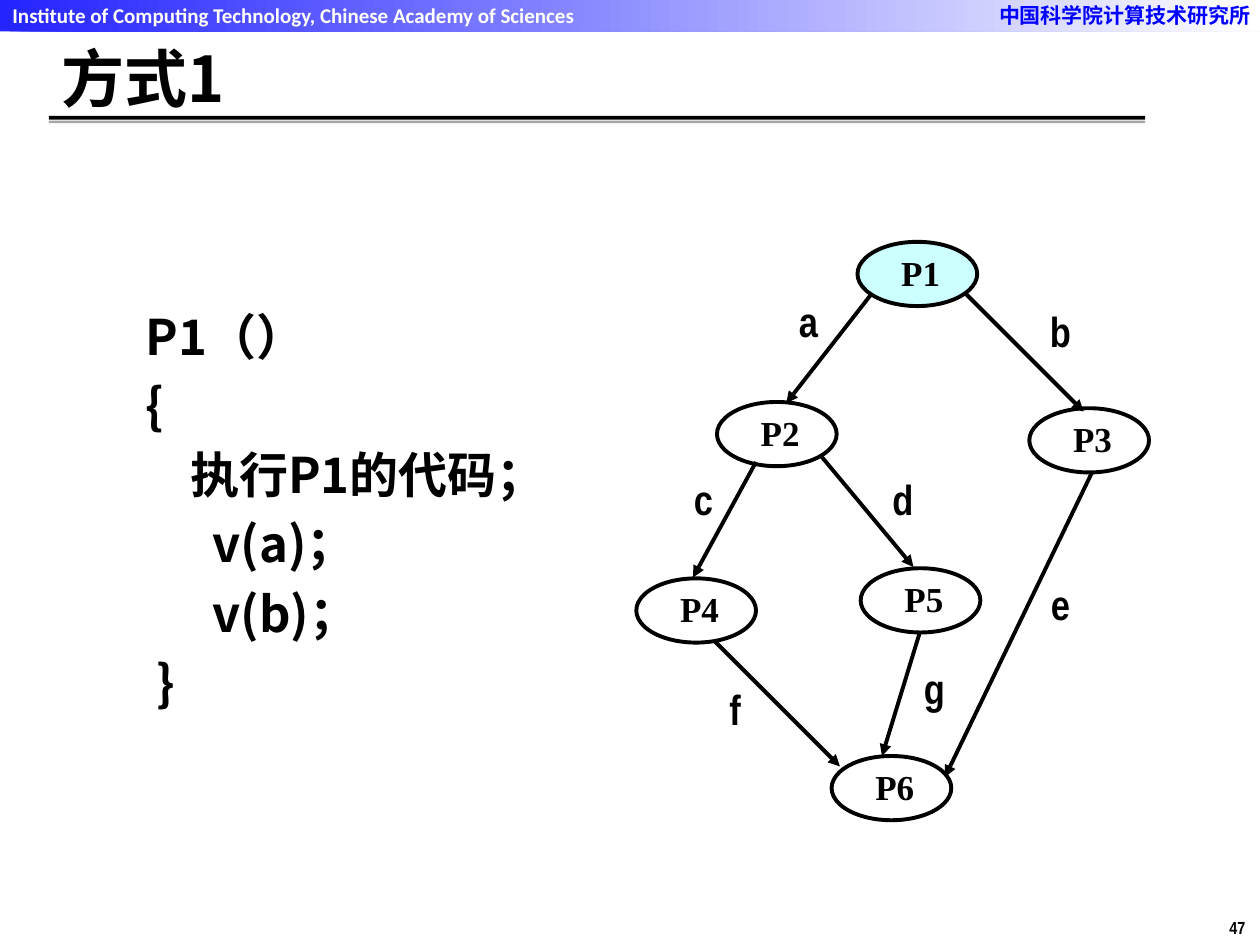
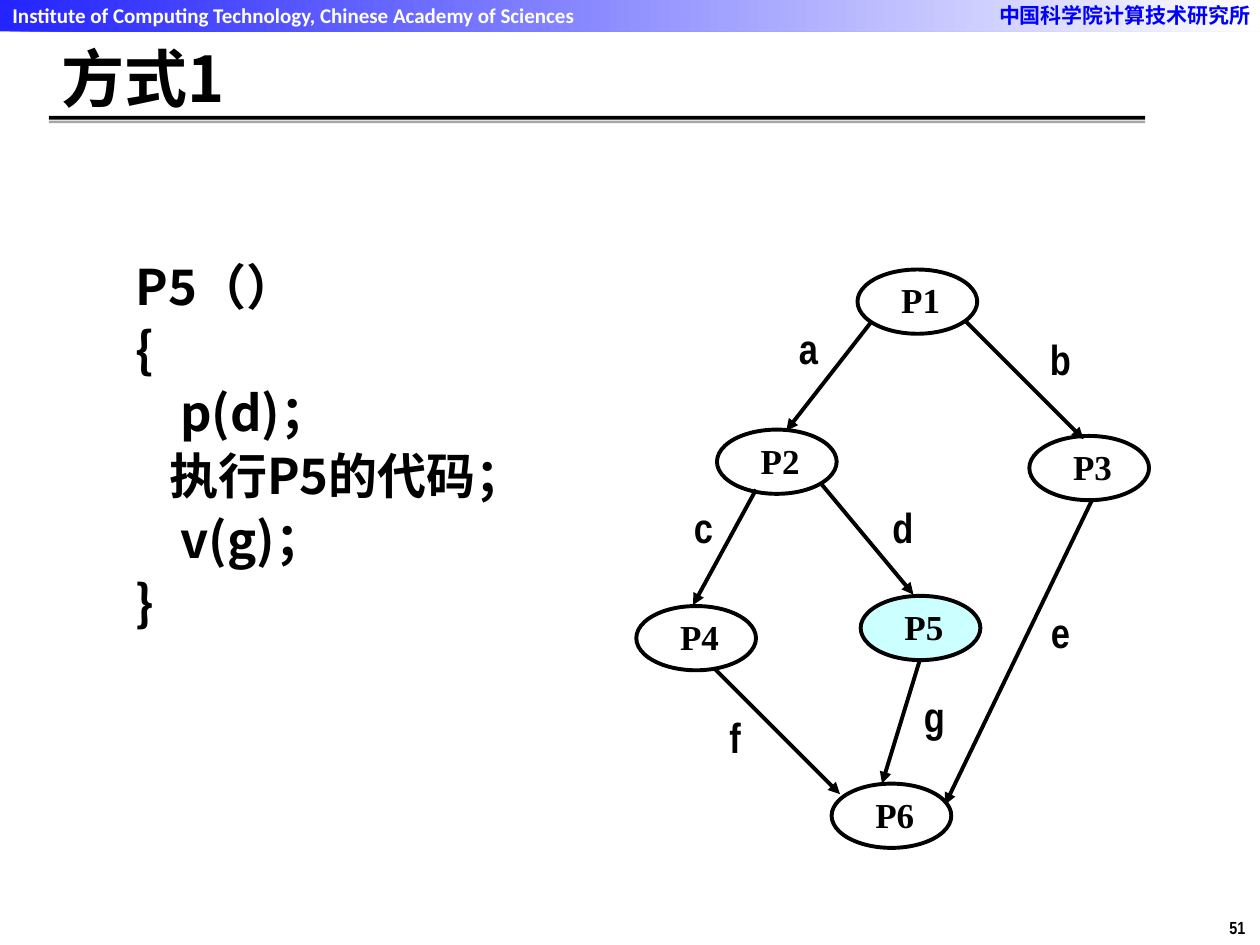
from dataclasses import dataclass

from lxml.etree import SubElement
from pptx import Presentation
from pptx.dml.color import RGBColor
from pptx.enum.shapes import MSO_CONNECTOR, MSO_SHAPE
from pptx.enum.text import MSO_ANCHOR, PP_ALIGN
from pptx.oxml.ns import qn
from pptx.slide import Slide
from pptx.text.text import TextFrame
from pptx.util import Pt

BLACK, WHITE, BLUE, GREY, CYAN = "000000", "FFFFFF", "0000FF", "A6A6A6", "CCFFFF"
HAN, NARROW, SERIF, SANS = "Noto Sans CJK SC", "Arial Narrow", "Times New Roman", "Calibri"
NODE_W, NODE_H = 68.4, 36.7
LABEL_W, LABEL_H = 36, 30
STROKE = 2.25


@dataclass(frozen=True)
class Node:
    name: str
    left: float
    top: float


@dataclass(frozen=True)
class Edge:
    name: str
    start: tuple[float, float]
    end: tuple[float, float]
    label: tuple[float, float]


@dataclass(frozen=True)
class Code:
    box: tuple[float, float, float, float]
    lines: list[str]
    pitch: float
    align: PP_ALIGN


@dataclass(frozen=True)
class Page:
    number: str
    active: str
    shift: float
    code: Code


NODES = [
    Node("P1", 490, 138.2),
    Node("P2", 409.7, 229.7),
    Node("P3", 588.2, 233.3),
    Node("P4", 363.6, 330.5),
    Node("P5", 491.8, 324.7),
    Node("P6", 475.2, 432),
]

EDGES = [
    Edge("a", (498, 168), (449.3, 230.4), (444, 168)),
    Edge("b", (552, 168), (619.2, 235.2), (588, 174)),
    Edge("c", (432, 264), (396, 330), (384, 270)),
    Edge("d", (468.7, 260), (522, 324), (498, 270)),
    Edge("e", (624, 270), (540, 444), (588, 330)),
    Edge("f", (408, 366), (480, 438), (402, 390)),
    Edge("g", (525.6, 361.4), (504, 432), (516, 378)),
]

PAGES = [
    Page("47", "P1", 0, Code(
        (76.3, 171, 232.6, 234.7),
        ["P1（）", "{", "    执行P1的代码；", "      v(a)；", "      v(b)；", " }"],
        34, PP_ALIGN.LEFT)),
    Page("51", "P5", 15.8, Code(
        (70.6, 146, 243.4, 231),
        ["P5（）", "{", "    p(d)；", "   执行P5的代码；", "    v(g)；", "}"],
        30.5, PP_ALIGN.JUSTIFY)),
]


def tint(code: str) -> RGBColor:
    return RGBColor.from_string(code)


def style(frame: TextFrame, face: str, size: float, color: str = BLACK,
          align: PP_ALIGN = PP_ALIGN.LEFT) -> None:
    for para in frame.paragraphs:
        para.alignment = align
        for run in para.runs:
            font = run.font
            font.name, font.size, font.bold = face, Pt(size), True
            font.color.rgb = tint(color)
            SubElement(run._r.get_or_add_rPr(), qn("a:ea"), typeface=face)


def inset(frame: TextFrame, left: float = 0) -> None:
    frame.margin_left = Pt(left)
    frame.margin_right = frame.margin_top = frame.margin_bottom = 0


def add_text(slide: Slide, box: tuple[float, float, float, float], text: str) -> TextFrame:
    frame = slide.shapes.add_textbox(*map(Pt, box)).text_frame
    frame.word_wrap = True
    frame.text = text
    return frame


def add_bar(slide: Slide, top: float, height: float, color: str) -> None:
    bar = slide.shapes.add_shape(MSO_SHAPE.RECTANGLE, Pt(28), Pt(top), Pt(626.4), Pt(height))
    bar.shadow.inherit = False
    bar.fill.solid()
    bar.fill.fore_color.rgb = tint(color)
    bar.line.fill.background()


def add_band(slide: Slide) -> None:
    band = slide.shapes.add_shape(MSO_SHAPE.RECTANGLE, 0, 0, Pt(720), Pt(18))
    band.shadow.inherit = False
    band.line.fill.background()
    band.fill.gradient()
    band.fill.gradient_angle = 0
    for stop, color in zip(band.fill.gradient_stops, (BLUE, WHITE)):
        stop.color.rgb = tint(color)
    for color in band._element.spPr.iter(qn("a:srgbClr")):
        SubElement(color, qn("a:alpha"), val="85000")


def add_frame(slide: Slide, number: str) -> None:
    add_band(slide)
    style(add_text(slide, (563.8, -2, 161.3, 21.6), "中国科学院计算技术研究所"), HAN, 12, BLUE)
    style(add_text(slide, (0, -2, 342, 21.6),
                   "Institute of Computing Technology, Chinese Academy of Sciences"),
          SANS, 12, WHITE)
    mark = add_text(slide, (695.5, 520.6, 24.5, 19.4), number)
    mark.word_wrap = False
    style(mark, NARROW, 10)
    add_bar(slide, 66.2, 2.2, BLACK)
    add_bar(slide, 69, 1.4, GREY)


def set_title(slide: Slide, text: str) -> None:
    title = slide.shapes.title
    title.left, title.top, title.width, title.height = map(Pt, (28, 23.8, 625, 40.3))
    title.text_frame.text = text
    title.text_frame.vertical_anchor = MSO_ANCHOR.MIDDLE
    style(title.text_frame, HAN, 36)


def add_code(slide: Slide, code: Code) -> None:
    frame = add_text(slide, code.box, "\n".join(code.lines))
    for row, para in enumerate(frame.paragraphs):
        para.line_spacing = Pt(code.pitch)
        para.space_before = Pt(5.6 if row else 0)
        para._p.get_or_add_pPr().set("hangingPunct", "1")
    style(frame, HAN, 28, align=code.align)


def add_node(slide: Slide, node: Node, shift: float, fill: str) -> None:
    oval = slide.shapes.add_shape(MSO_SHAPE.OVAL, Pt(node.left), Pt(node.top + shift),
                                  Pt(NODE_W), Pt(NODE_H))
    oval.shadow.inherit = False
    oval.fill.solid()
    oval.fill.fore_color.rgb = tint(fill)
    oval.line.color.rgb = tint(BLACK)
    oval.line.width = Pt(STROKE)
    frame = oval.text_frame
    frame.text = node.name
    frame.vertical_anchor = MSO_ANCHOR.TOP
    inset(frame, 15)
    style(frame, SERIF, 20)


def add_edge(slide: Slide, edge: Edge, shift: float) -> None:
    (x1, y1), (x2, y2) = edge.start, edge.end
    link = slide.shapes.add_connector(MSO_CONNECTOR.STRAIGHT, Pt(x1), Pt(y1 + shift),
                                      Pt(x2), Pt(y2 + shift))
    link.line.color.rgb = tint(BLACK)
    link.line.width = Pt(STROKE)
    SubElement(link.line._get_or_add_ln(), qn("a:tailEnd"), type="triangle")
    SubElement(link._element.spPr, qn("a:effectLst"))
    left, top = edge.label
    frame = add_text(slide, (left, top + shift, LABEL_W, LABEL_H), edge.name)
    frame.vertical_anchor = MSO_ANCHOR.MIDDLE
    inset(frame)
    style(frame, NARROW, 24, align=PP_ALIGN.CENTER)


def main() -> None:
    deck = Presentation()
    deck.slide_width, deck.slide_height = Pt(720), Pt(540)
    for page in PAGES:
        slide = deck.slides.add_slide(deck.slide_layouts[5])
        add_frame(slide, page.number)
        set_title(slide, "方式1")
        add_code(slide, page.code)
        for node in NODES:
            add_node(slide, node, page.shift, CYAN if node.name == page.active else WHITE)
        for edge in EDGES:
            add_edge(slide, edge, page.shift)
    deck.save("out.pptx")


if __name__ == "__main__":
    main()
